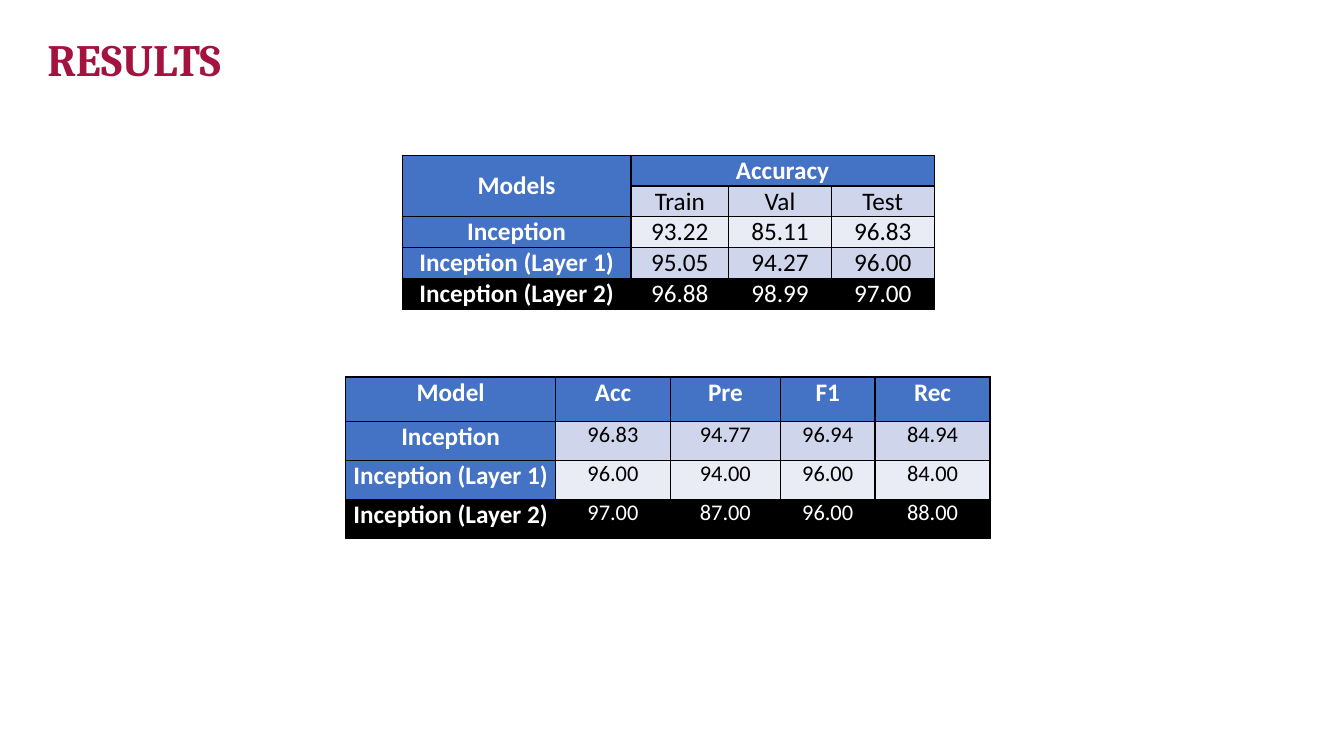
from lxml import etree
from pptx import Presentation
from pptx.dml.color import RGBColor
from pptx.enum.text import MSO_ANCHOR, MSO_AUTO_SIZE, PP_ALIGN
from pptx.oxml import parse_xml
from pptx.util import Pt

LEFT, CENTER = PP_ALIGN.LEFT, PP_ALIGN.CENTER
TOP, MIDDLE = MSO_ANCHOR.TOP, MSO_ANCHOR.MIDDLE
NO_AUTOFIT = MSO_AUTO_SIZE.NONE

CRIMSON = RGBColor(0xA4, 0x12, 0x3F)
BLUE = RGBColor(0x44, 0x72, 0xC4)
BAND_DARK = RGBColor(0xCF, 0xD5, 0xEA)
BAND_LIGHT = RGBColor(0xE9, 0xEB, 0xF5)
BLACK = RGBColor(0, 0, 0)
WHITE = RGBColor(0xFF, 0xFF, 0xFF)

DRAWING_NS = "http://schemas.openxmlformats.org/drawingml/2006/main"
TITLE_ONLY = 5

ACCURACY = [
    ["Models", "Accuracy", "", ""],
    ["", "Train", "Val", "Test"],
    ["Inception", "93.22", "85.11", "96.83"],
    ["Inception (Layer 1)", "95.05", "94.27", "96.00"],
    ["Inception (Layer 2)", "96.88", "98.99", "97.00"],
]
METRICS = [
    ["Model", "Acc", "Pre", "F1", "Rec"],
    ["Inception", "96.83", "94.77", "96.94", "84.94"],
    ["Inception (Layer 1)", "96.00", "94.00", "96.00", "84.00"],
    ["Inception (Layer 2)", "97.00", "87.00", "96.00", "88.00"],
]


def write(tf, text, font="Calibri", size=18, color=BLACK, bold=False,
          align=CENTER, spacing=None):
    p = tf.paragraphs[0]
    p.alignment = align
    p.line_spacing = spacing
    r = p.add_run()
    r.text = text
    r.font.name = font
    r.font.size = Pt(size)
    r.font.bold = bold
    r.font.color.rgb = color


def add_borders(cell, color=BLACK, width=1):
    tcPr = cell._tc.get_or_add_tcPr()
    for i, side in enumerate(("lnL", "lnR", "lnT", "lnB")):
        ln = parse_xml(f'<a:{side} xmlns:a="{DRAWING_NS}" w="{Pt(width)}"/>')
        fill = etree.SubElement(ln, f"{{{DRAWING_NS}}}solidFill")
        etree.SubElement(fill, f"{{{DRAWING_NS}}}srgbClr", val=str(color))
        tcPr.insert(i, ln)


def add_title(s, text, x, y, w, h):
    sp = s.shapes.title
    sp.left, sp.top, sp.width, sp.height = Pt(x), Pt(y), Pt(w), Pt(h)
    tf = sp.text_frame
    tf.auto_size = NO_AUTOFIT
    tf.vertical_anchor = MIDDLE
    write(tf, text, font="Cambria", size=32, color=CRIMSON, bold=True,
          align=LEFT, spacing=0.9)


def add_results(s, rows, x, y, col_widths, row_heights, value_size, merges=()):
    """Blue header row and column, banded values, last row in black."""
    frame = s.shapes.add_table(len(rows), len(col_widths), Pt(x), Pt(y),
                               Pt(sum(col_widths)), Pt(sum(row_heights)))
    table = frame.table
    for column, width in zip(table.columns, col_widths):
        column.width = Pt(width)
    for row, height in zip(table.rows, row_heights):
        row.height = Pt(height)

    for i, row in enumerate(rows):
        last = i == len(rows) - 1
        band = BAND_DARK if i % 2 else BAND_LIGHT
        for j, text in enumerate(row):
            header = i == 0 or j == 0
            cell = table.cell(i, j)
            cell.margin_left = cell.margin_right = Pt(5)
            cell.margin_top = cell.margin_bottom = 0
            cell.vertical_anchor = TOP
            add_borders(cell)
            cell.fill.solid()
            cell.fill.fore_color.rgb = BLACK if last else BLUE if header else band
            if text:
                write(cell.text_frame, text, bold=header,
                      size=18 if header else value_size,
                      color=WHITE if header or last else BLACK)

    for first, end in merges:
        table.cell(*first).merge(table.cell(*end))
    return table


def main():
    prs = Presentation()
    prs.slide_width, prs.slide_height = Pt(960), Pt(540)
    s = prs.slides.add_slide(prs.slide_layouts[TITLE_ONLY])

    add_title(s, "RESULTS", 26.6, 27.4, 900.7, 33.1)

    # Accuracy by data split
    accuracy = add_results(s, ACCURACY, 287.3, 110.9, [163.4, 69.8, 73.4, 73.4],
                           [22] * 5, value_size=18,
                           merges=[((0, 0), (1, 0)), ((0, 1), (0, 3))])
    accuracy.cell(0, 0).vertical_anchor = MIDDLE

    # Test metrics
    add_results(s, METRICS, 247, 269.3, [149.8, 82.1, 78.5, 67.7, 82.1],
                [31.7] + [27.9] * 3, value_size=16)

    prs.save("out.pptx")


if __name__ == "__main__":
    main()
